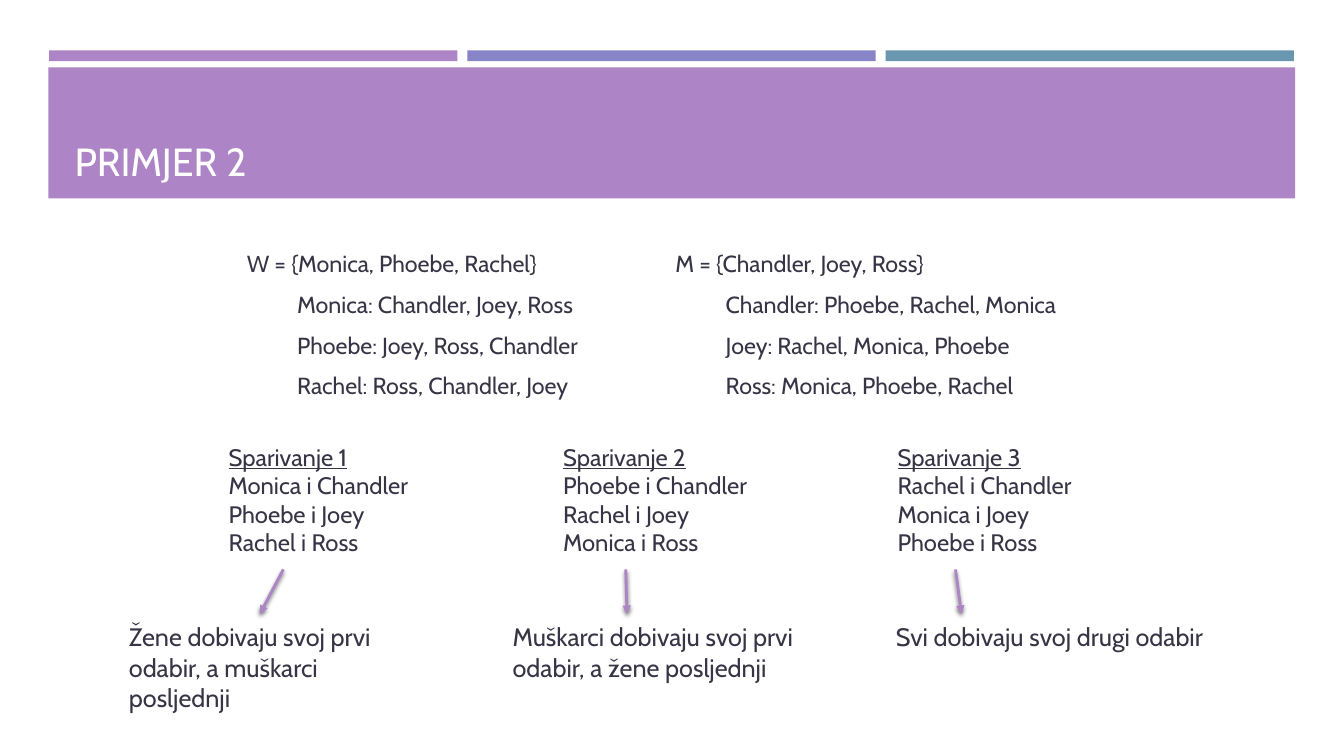
from pptx import Presentation
from pptx.util import Cm, Pt
from pptx.dml.color import RGBColor as RGB
from pptx.enum.shapes import MSO_SHAPE as SHAPE, MSO_CONNECTOR as LINE
from pptx.enum.text import MSO_ANCHOR as ANCHOR
from pptx.oxml import parse_xml
from pptx.oxml.ns import nsdecls

hues = {"plum": "AD84C6", "blue": "8784C7", "teal": "6997AF",
        "ink": "373545", "white": "FFFFFF", "black": "000000"}

deck = Presentation()
deck.slide_width, deck.slide_height = Cm(33.87), Cm(19.05)
slide = deck.slides.add_slide(deck.slide_layouts[6])


def add_bar(x, y, w, h, hue):
    bar = slide.shapes.add_shape(SHAPE.RECTANGLE, Cm(x), Cm(y), Cm(w), Cm(h))
    bar.shadow.inherit = False
    bar.fill.solid()
    bar.fill.fore_color.rgb = RGB.from_string(hues[hue])
    bar.line.fill.background()


def add_text(home, x, y, w, h, lines, size, hue="ink"):
    frame = home.shapes.add_textbox(Cm(x), Cm(y), Cm(w), Cm(h)).text_frame
    frame.word_wrap = True
    for i, line in enumerate(lines):
        para = frame.paragraphs[0] if i == 0 else frame.add_paragraph()
        run = para.add_run()
        run.text = line
        run.font.name = "Cabin"
        run.font.size = Pt(size)
        run.font.color.rgb = RGB.from_string(hues[hue])
    return frame


for i, hue in enumerate(["plum", "blue", "teal"]):
    add_bar(1.24 + 10.54 * i, 1.27, 10.29, 0.27, hue)
add_bar(1.22, 1.7, 31.42, 3.3, "plum")
title = add_text(slide, 1.63, 1.96, 30.63, 2.82, ["PRIMJER 2"], 28, "white")
title.vertical_anchor = ANCHOR.BOTTOM

ranks = [
    ["W = {Monica, Phoebe, Rachel}", "Monica: Chandler, Joey, Ross",
     "Phoebe: Joey, Ross, Chandler", "Rachel: Ross, Chandler, Joey"],
    ["M = {Chandler, Joey, Ross}", "Chandler: Phoebe, Rachel, Monica",
     "Joey: Rachel, Monica, Phoebe", "Ross: Monica, Phoebe, Rachel"],
]
for i, lines in enumerate(ranks):
    frame = add_text(slide, 5.97 + 10.8 * i, 6.15, 10.6, 4.2, lines, 16.6)
    for para in frame.paragraphs:
        para.space_after = Pt(9.3)
    for para in frame.paragraphs[1:]:
        para._p.get_or_add_pPr().set("marL", str(Cm(1.27)))

pairs = [
    ["Sparivanje 1", "Monica i Chandler", "Phoebe i Joey", "Rachel i Ross"],
    ["Sparivanje 2", "Phoebe i Chandler", "Rachel i Joey", "Monica i Ross"],
    ["Sparivanje 3", "Rachel i Chandler", "Monica i Joey", "Phoebe i Ross"],
]
for i, lines in enumerate(pairs):
    frame = add_text(slide, 5.51 + 8.43 * i, 11.02, 8, 3.2, lines, 17)
    frame.paragraphs[0].runs[0].font.underline = True

notes = [
    (3, 7.67, 1.8, 7.14, 6.55, "Žene dobivaju svoj prvi odabir, a muškarci posljednji"),
    (12.67, 7.67, 1.8, 15.77, 15.8, "Muškarci dobivaju svoj prvi odabir, a žene posljednji"),
    (22.33, 8.31, 1.02, 24.08, 24.23, "Svi dobivaju svoj drugi odabir"),
]
for x, w, h, start, end, text in notes:
    group = slide.shapes.add_group_shape()
    add_text(group, x, 15.54, w, h, [text], 18)
    arrow = group.shapes.add_connector(
        LINE.STRAIGHT, Cm(start), Cm(14.35), Cm(end), Cm(15.47))
    arrow.line.color.rgb = RGB.from_string(hues["plum"])
    arrow.line.width = Pt(2)
    arrow.line._get_or_add_ln().append(
        parse_xml(f'<a:tailEnd {nsdecls("a")} type="triangle"/>'))
    arrow._element.spPr.append(parse_xml(
        f'<a:effectLst {nsdecls("a")}><a:outerShdw blurRad="{Pt(3)}" '
        f'dist="{Pt(2)}" dir="5400000" rotWithShape="0">'
        f'<a:srgbClr val="{hues["black"]}"><a:alpha val="55000"/></a:srgbClr>'
        '</a:outerShdw></a:effectLst>'))

deck.save("out.pptx")
